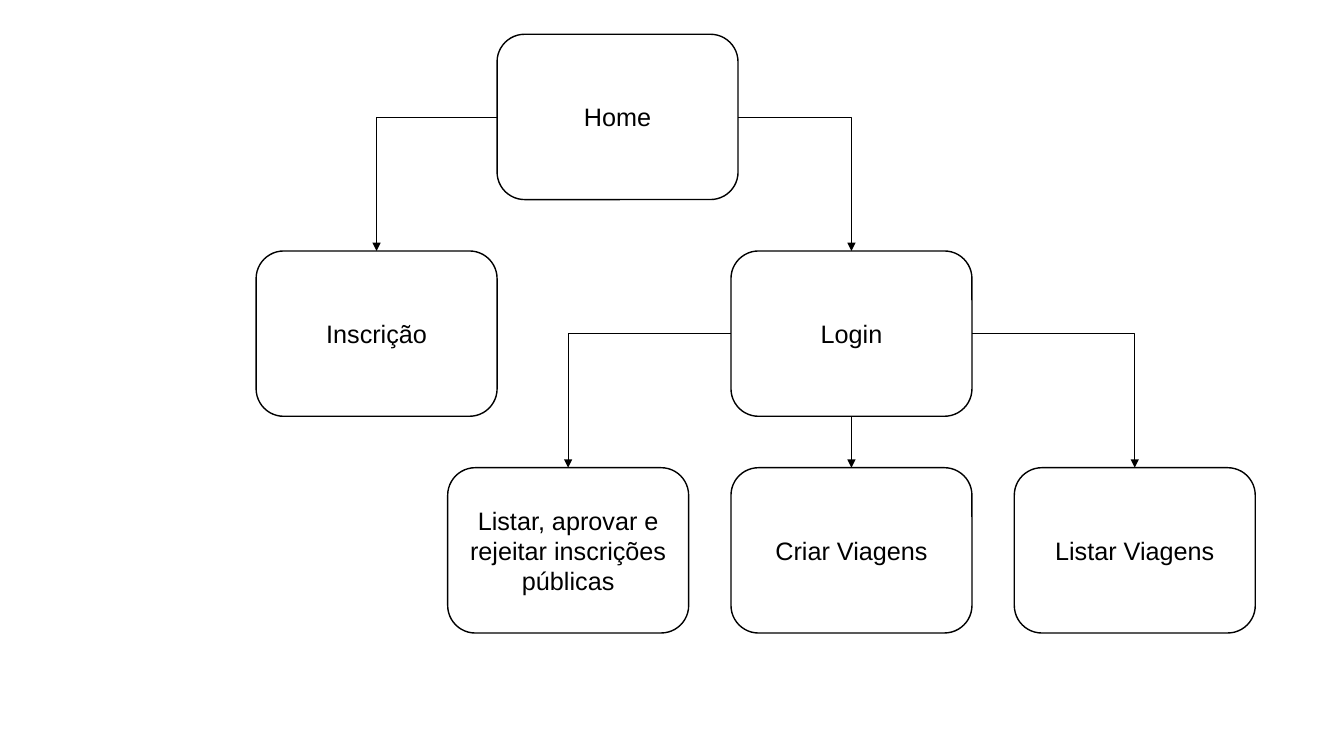
from dataclasses import dataclass

from lxml.etree import SubElement as Sub
from pptx import Presentation
from pptx.dml.color import RGBColor as RGB
from pptx.enum.shapes import MSO_CONNECTOR as Wire, MSO_SHAPE as Form
from pptx.enum.text import MSO_ANCHOR as Anchor, PP_ALIGN as Align
from pptx.oxml.ns import qn
from pptx.util import Inches, Pt


@dataclass(frozen=True)
class Theme:
    """Colours, font, type size and line widths."""
    ink: RGB = RGB(0, 0, 0)
    paper: RGB = RGB(255, 255, 255)
    font: str = "Arial"
    size: int = 18
    edge: float = 1
    wire: float = 0.5


THEME = Theme()
WIDE, HIGH = 2.39, 1.64
ROW, COL = 2.15, 2.81
TOP, LEFT, BOTTOM, RIGHT = range(4)  # connection sites of a page box


def add_page(slide, text, left, top):
    """Draw one page of the site as a rounded box."""
    page = slide.shapes.add_shape(
        Form.ROUNDED_RECTANGLE, Inches(left), Inches(top), Inches(WIDE), Inches(HIGH))
    page.shadow.inherit = False
    page.fill.solid()
    page.fill.fore_color.rgb = THEME.paper
    page.line.color.rgb = THEME.ink
    page.line.width = Pt(THEME.edge)
    frame = page.text_frame
    frame.word_wrap = True
    frame.vertical_anchor = Anchor.MIDDLE
    frame.text = text
    para = frame.paragraphs[0]
    para.alignment = Align.CENTER
    font = para.runs[0].font
    font.name, font.size = THEME.font, Pt(THEME.size)
    font.color.rgb = THEME.ink
    return page


def add_link(slide, start, side, end):
    """Run an arrow from one side of a page to the top of another."""
    kind = Wire.STRAIGHT if side == BOTTOM else Wire.ELBOW
    link = slide.shapes.add_connector(kind, 0, 0, 0, 0)
    link.begin_connect(start, side)
    link.end_connect(end, TOP)
    link.line.color.rgb = THEME.ink
    link.line.width = Pt(THEME.wire)
    props = link._element.spPr
    if kind == Wire.ELBOW:
        props.find(qn("a:prstGeom")).set("prst", "bentConnector2")
    Sub(props.find(qn("a:ln")), qn("a:tailEnd"), type="triangle")
    Sub(props, qn("a:effectLst"))


def add_map(slide, left, top):
    """Draw the site map with its top left corner at the given point."""
    hub = left + 4.71
    home = add_page(slide, "Home", left + WIDE, top)
    signup = add_page(slide, "Inscrição", left, top + ROW)
    login = add_page(slide, "Login", hub, top + ROW)
    add_link(slide, home, LEFT, signup)
    add_link(slide, home, RIGHT, login)
    tasks = [
        ("Listar, aprovar e rejeitar inscrições públicas", LEFT),
        ("Criar Viagens", BOTTOM),
        ("Listar Viagens", RIGHT),
    ]
    for step, (text, side) in enumerate(tasks, -1):
        task = add_page(slide, text, hub + step * COL, top + 2 * ROW)
        add_link(slide, login, side, task)


def main():
    """Build and save the deck."""
    deck = Presentation()
    deck.slide_width, deck.slide_height = Inches(13.33), Inches(7.5)
    slide = deck.slides.add_slide(deck.slide_layouts[6])
    add_map(slide, 2.54, 0.34)
    deck.save("out.pptx")


main()
